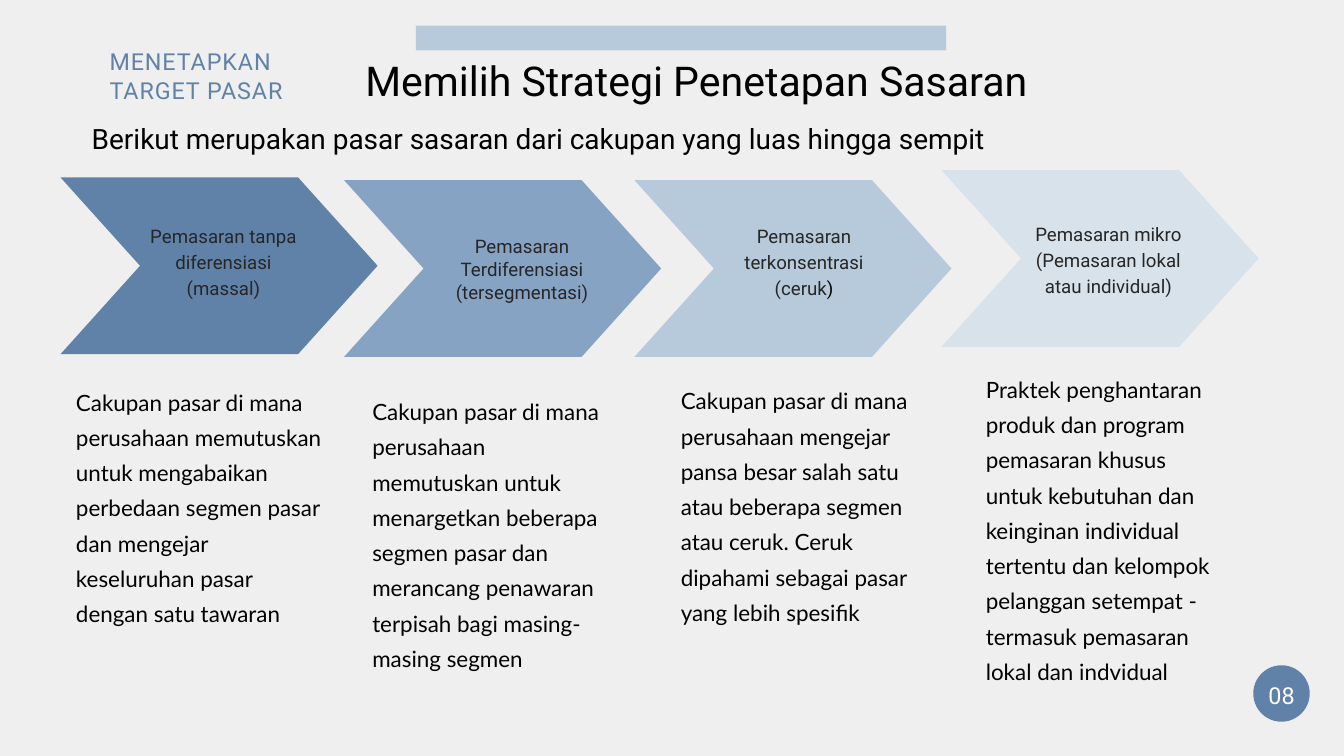
from pptx import Presentation
from pptx import util as u
from pptx.dml.color import RGBColor
from pptx.enum import shapes, text

PAPER = RGBColor(0xEF, 0xEF, 0xEF)
STEEL = RGBColor(0x61, 0x82, 0xA8)
SKY = RGBColor(0x87, 0xA3, 0xC4)
MIST = RGBColor(0xB7, 0xCA, 0xDB)
ICE = RGBColor(0xD8, 0xE2, 0xEB)
INK = RGBColor(0x26, 0x26, 0x26)
BLACK = RGBColor(0, 0, 0)
WHITE = RGBColor(0xFF, 0xFF, 0xFF)

LEFT, CENTER, JUSTIFY = (text.PP_ALIGN.LEFT, text.PP_ALIGN.CENTER,
                         text.PP_ALIGN.JUSTIFY)
TOP, MIDDLE = text.MSO_ANCHOR.TOP, text.MSO_ANCHOR.MIDDLE

CHEVRON_SIZE = (339.8, 189.4)
CHEVRON_POINT = 0.45  # depth of the point as a share of the height

# Each strategy: chevron colour and corner, label runs, label box and line
# spacing, description and description box.
STRATEGIES = [
    (STEEL, (64.8, 190.1),
     [("Pemasaran tanpa diferensiasi (massal)", INK)],
     (151.2, 237.6, 176.4, 82.8), 28,
     "Cakupan pasar di mana perusahaan memutuskan untuk mengabaikan "
     "perbedaan segmen pasar dan mengejar keseluruhan pasar dengan satu "
     "tawaran",
     (81.4, 407.5, 269.3, 266.4)),
    (SKY, (368.6, 193),
     [("Pemasaran Terdiferensiasi (tersegmentasi)", INK)],
     (447, 193, 224.6, 189.4), 24.8,
     "Cakupan pasar di mana perusahaan memutuskan untuk menargetkan "
     "beberapa segmen pasar dan merancang penawaran terpisah bagi "
     "masing-masing segmen",
     (398.9, 417.6, 261.4, 266.4)),
    (MIST, (679.7, 193),
     [("Pemasaran terkonsentrasi (ceruk", INK), (")", BLACK)],
     (773.3, 237.6, 176.4, 82.8), 28,
     "Cakupan pasar di mana perusahaan mengejar pansa besar salah satu "
     "atau beberapa segmen atau ceruk. Ceruk dipahami sebagai pasar yang "
     "lebih spesifik",
     (729.4, 406.1, 257.8, 266.4)),
    (ICE, (1008.7, 182.2),
     [("Pemasaran mikro (Pemasaran lokal atau individual)", INK)],
     (1099.4, 234.7, 176.4, 83.5), 28,
     "Praktek penghantaran produk dan program pemasaran khusus untuk "
     "kebutuhan dan keinginan individual tertentu dan kelompok pelanggan "
     "setempat - termasuk pemasaran lokal dan indvidual",
     (1056.2, 393.8, 257.8, 342.7)),
]


def points(values):
    return [u.Pt(value) for value in values]


def write(box, spans, size, leading, font="Roboto", align=CENTER, anchor=TOP,
          tracking=0):
    """Fill box with one paragraph made of (wording, colour) spans."""
    frame = box.text_frame
    frame.word_wrap = True
    frame.auto_size = text.MSO_AUTO_SIZE.NONE
    frame.vertical_anchor = anchor
    frame.margin_left = frame.margin_right = 0
    frame.margin_top = frame.margin_bottom = 0
    para = frame.paragraphs[0]
    para.alignment = align
    para.line_spacing = u.Pt(leading)
    for wording, colour in spans:
        span = para.add_run()
        span.text = wording
        span.font.name = font
        span.font.size = u.Pt(size)
        span.font.color.rgb = colour
        if tracking:
            span.font._element.set("spc", str(tracking * 100))


class Page:
    def __init__(self, deck):
        self.slide = deck.slides.add_slide(deck.slide_layouts[5])
        background = self.slide.background.fill
        background.solid()
        background.fore_color.rgb = PAPER

    def title(self, wording, area, **style):
        box = self.slide.shapes.title
        box.left, box.top, box.width, box.height = points(area)
        write(box, [(wording, BLACK)], **style)

    def label(self, spans, area, **style):
        write(self.slide.shapes.add_textbox(*points(area)), spans, **style)

    def shape(self, kind, area, colour):
        shape = self.slide.shapes.add_shape(kind, *points(area))
        shape.shadow.inherit = False
        shape.fill.solid()
        shape.fill.fore_color.rgb = colour
        shape.line.fill.background()
        return shape

    def chevron(self, corner, colour):
        arrow = self.shape(shapes.MSO_SHAPE.CHEVRON, corner + CHEVRON_SIZE,
                           colour)
        arrow.adjustments[0] = CHEVRON_POINT


def main():
    deck = Presentation()
    deck.slide_width, deck.slide_height = points((1440, 810))
    page = Page(deck)

    page.shape(shapes.MSO_SHAPE.RECTANGLE, (445.7, 27.4, 568.1, 26.6), MIST)
    page.title("Memilih Strategi Penetapan Sasaran",
               (287.3, 38.2, 918.7, 71.3), size=44, leading=74.2)
    page.label([("MENETAPKAN TARGET PASAR", STEEL)],
               (117.4, 49.7, 247.7, 61.2), size=25, leading=31,
               align=JUSTIFY, tracking=1)
    page.label([("Berikut merupakan pasar sasaran dari cakupan yang luas "
                 "hingga sempit", BLACK)],
               (62.6, 124.6, 1028.9, 41), size=30, leading=42)

    for colour, corner, name, name_area, leading, detail, area in STRATEGIES:
        page.chevron(corner, colour)
        page.label(name, name_area, size=20, leading=leading, anchor=MIDDLE)
        page.label([(detail, BLACK)], area, size=24, leading=37.8,
                   font="Lato", align=LEFT)

    page.shape(shapes.MSO_SHAPE.OVAL, (1342.8, 712.8, 60.5, 60.5), STEEL)
    page.label([("08", WHITE)], (1341.4, 724.3, 63.4, 33.1), size=25,
               leading=35)
    deck.save("out.pptx")


if __name__ == "__main__":
    main()
